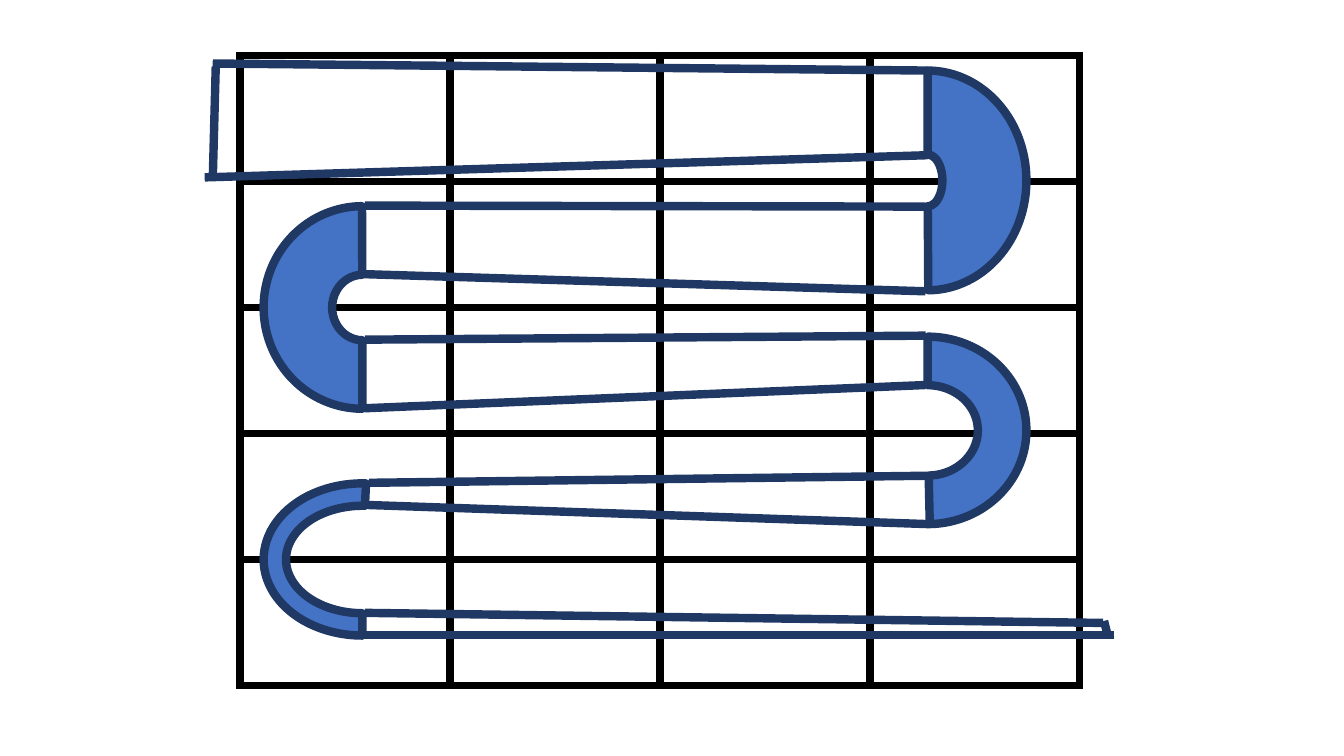
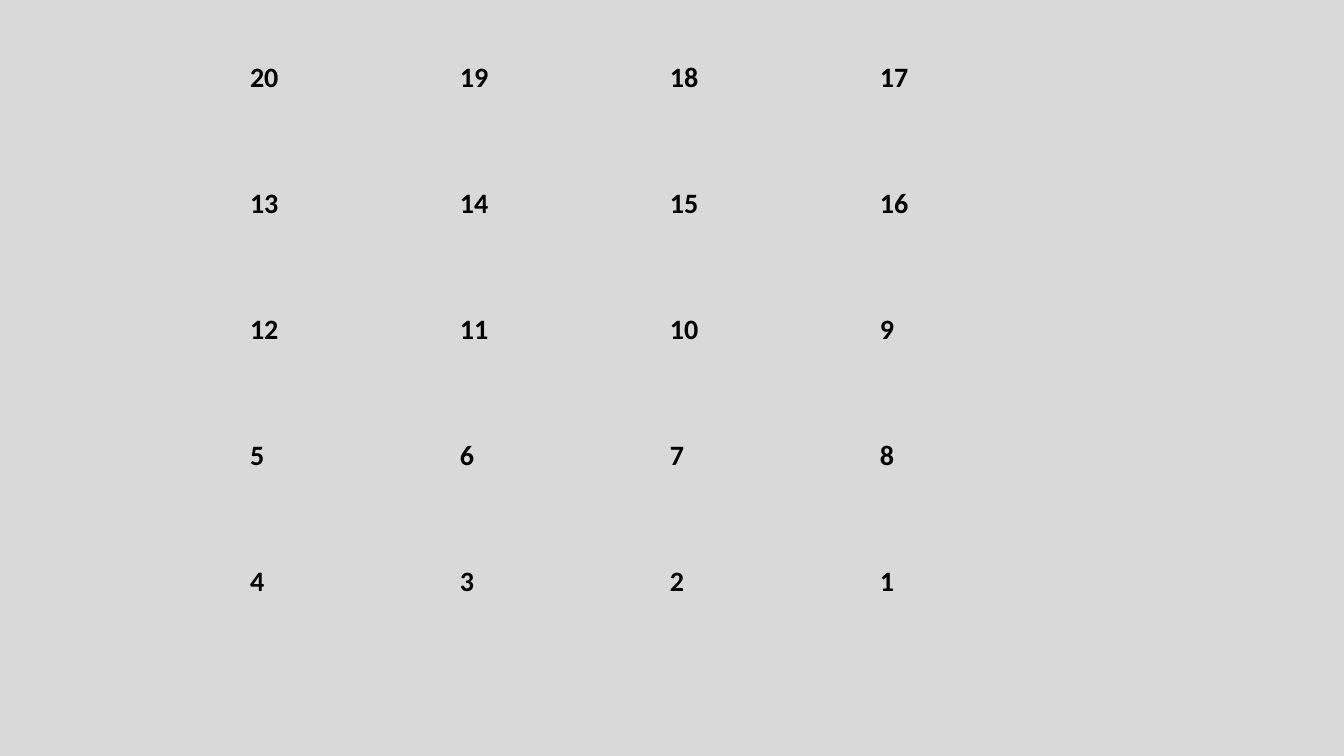
from dataclasses import dataclass
from typing import Optional

from lxml import etree
from pptx import Presentation
from pptx.dml.color import RGBColor
from pptx.enum.shapes import MSO_CONNECTOR, MSO_SHAPE
from pptx.oxml.ns import qn
from pptx.shapes.shapetree import GroupShapes
from pptx.slide import Slide
from pptx.table import Table, _Cell
from pptx.util import Inches, Pt

BLOCK_ARC = MSO_SHAPE.BLOCK_ARC
STRAIGHT = MSO_CONNECTOR.STRAIGHT


@dataclass(frozen=True)
class Theme:
    font: str = "Calibri"
    number_size: float = 20
    line_width: float = 6
    black: str = "000000"
    white: str = "FFFFFF"
    gray: str = "D9D9D9"
    path_fill: str = "4472C4"
    path_line: str = "203864"


@dataclass(frozen=True)
class Board:
    left: float = 2.38
    top: float = 0.55
    width: float = 8.33
    height: float = 6.25
    rows: int = 5
    cols: int = 4


@dataclass(frozen=True)
class Bend:
    left: float
    top: float
    width: float
    height: float
    rotation: int
    end_angle: float
    thickness: float


@dataclass(frozen=True)
class Edge:
    x1: float
    y1: float
    x2: float
    y2: float


THEME = Theme()
BOARD = Board()
START_ANGLE = 108

BENDS = [
    Bend(8.11, 0.81, 2.18, 1.96, 90, 215.79, 0.425),
    Bend(2.59, 2.07, 2.01, 1.96, 270, 215.87, 0.347),
    Bend(8.27, 3.29, 1.86, 1.96, 90, 215.2, 0.259),
    Bend(2.84, 4.57, 1.51, 1.96, 270, 1.63, 0.147),
]

EDGES = [
    # Upper and lower edge of each lane, from the top down
    Edge(9.2, 0.7, 2.11, 0.63), Edge(9.2, 1.54, 2.03, 1.76),
    Edge(9.18, 2.05, 3.62, 2.04), Edge(9.18, 2.89, 3.61, 2.72),
    Edge(9.18, 3.33, 3.62, 3.37), Edge(9.18, 3.82, 3.62, 4.05),
    Edge(9.2, 4.72, 3.66, 4.79), Edge(9.22, 5.2, 3.65, 5.01),
    Edge(10.94, 6.18, 3.62, 6.08), Edge(11.05, 6.3, 3.62, 6.3),
    # Closing edges at both ends of the path
    Edge(2.11, 1.79, 2.14, 0.66), Edge(10.98, 6.28, 10.95, 6.16),
]


def rgb(color: str) -> RGBColor:
    return RGBColor.from_string(color)


def add_blank_slide(prs, background: str) -> Slide:
    s = prs.slides.add_slide(prs.slide_layouts[6])
    s.background.fill.solid()
    s.background.fill.fore_color.rgb = rgb(background)
    return s


def set_borders(cell: _Cell, color: Optional[str]) -> None:
    tcPr = cell._tc.get_or_add_tcPr()
    for side in ("a:lnL", "a:lnR", "a:lnT", "a:lnB"):
        ln = etree.SubElement(tcPr, qn(side), w=str(Pt(THEME.line_width)))
        if color is None:
            etree.SubElement(ln, qn("a:noFill"))
        else:
            fill = etree.SubElement(ln, qn("a:solidFill"))
            etree.SubElement(fill, qn("a:srgbClr"), val=color)


def add_board(s: Slide, fill: Optional[str], border: Optional[str]) -> Table:
    table = s.shapes.add_table(
        BOARD.rows, BOARD.cols, Inches(BOARD.left), Inches(BOARD.top),
        Inches(BOARD.width), Inches(BOARD.height)).table
    table.first_row = table.horz_banding = False
    for cell in table.iter_cells():
        set_borders(cell, border)
        if fill is None:
            cell.fill.background()
        else:
            cell.fill.solid()
            cell.fill.fore_color.rgb = rgb(fill)
    return table


def style_line(line) -> None:
    line.color.rgb = rgb(THEME.path_line)
    line.width = Pt(THEME.line_width)


def add_bend(shapes: GroupShapes, bend: Bend) -> None:
    sp = shapes.add_shape(BLOCK_ARC, Inches(bend.left), Inches(bend.top),
                          Inches(bend.width), Inches(bend.height))
    sp.rotation = bend.rotation
    for i, value in enumerate((START_ANGLE, bend.end_angle, bend.thickness)):
        sp.adjustments[i] = value
    sp.shadow.inherit = False
    sp.fill.solid()
    sp.fill.fore_color.rgb = rgb(THEME.path_fill)
    style_line(sp.line)


def add_edge(shapes: GroupShapes, edge: Edge) -> None:
    sp = shapes.add_connector(STRAIGHT, Inches(edge.x1), Inches(edge.y1),
                              Inches(edge.x2), Inches(edge.y2))
    style_line(sp.line)
    etree.SubElement(sp._element.spPr, qn("a:effectLst"))


def square_number(row: int, col: int) -> int:
    """Count from the bottom right, turning round at the end of each row."""
    level = BOARD.rows - 1 - row
    step = col if level % 2 else BOARD.cols - 1 - col
    return level * BOARD.cols + step + 1


def add_number(cell: _Cell, number: int) -> None:
    r = cell.text_frame.paragraphs[0].add_run()
    r.text = str(number)
    r.font.name = THEME.font
    r.font.size = Pt(THEME.number_size)
    r.font.bold = True
    r.font.color.rgb = rgb(THEME.black)


prs = Presentation()
prs.slide_width, prs.slide_height = Inches(13.33), Inches(7.5)

# Slide 1: winding path over the grid
s = add_blank_slide(prs, THEME.white)
add_board(s, THEME.white, THEME.black)
winding_path = s.shapes.add_group_shape().shapes
for bend in BENDS:
    add_bend(winding_path, bend)
for edge in EDGES:
    add_edge(winding_path, edge)

# Slide 2: numbered squares
s = add_blank_slide(prs, THEME.gray)
numbers = add_board(s, None, None)
for row in range(BOARD.rows):
    for col in range(BOARD.cols):
        add_number(numbers.cell(row, col), square_number(row, col))

prs.save("out.pptx")
